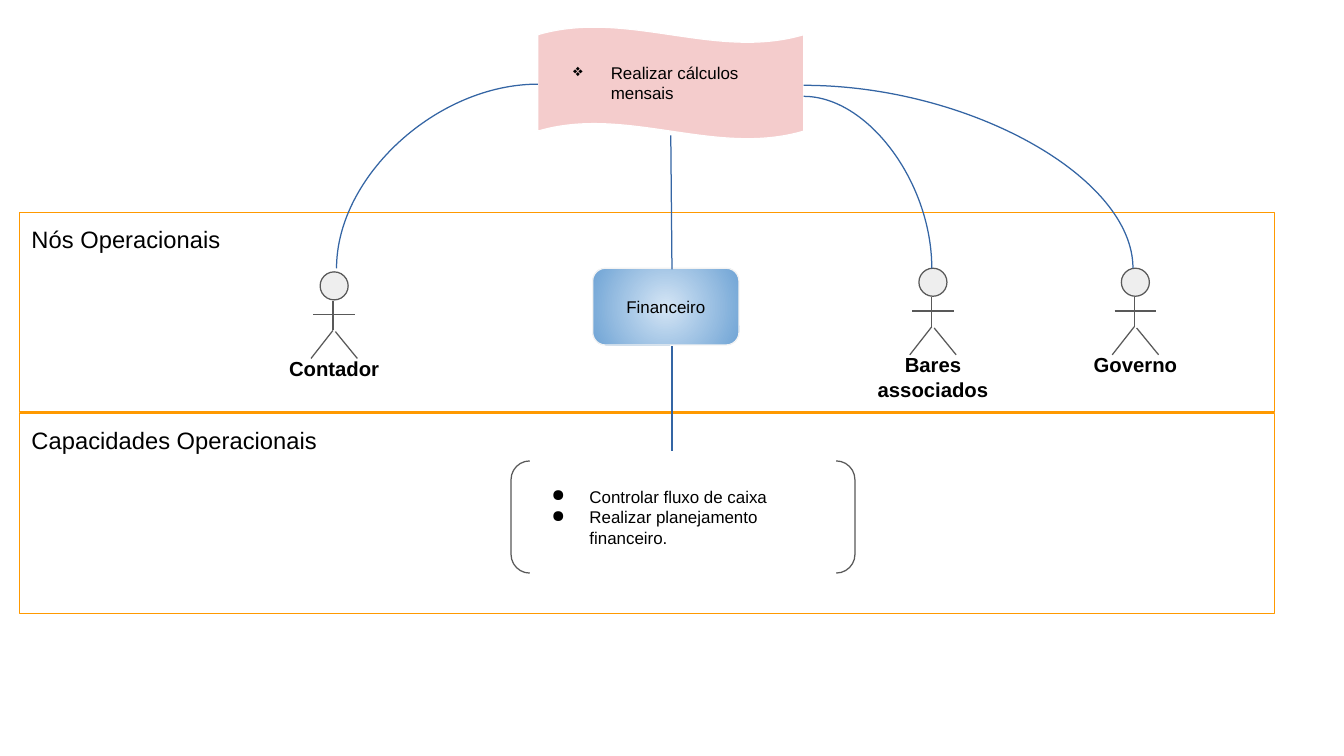
from dataclasses import dataclass
from lxml.etree import SubElement
from pptx import Presentation
from pptx.dml.color import RGBColor
from pptx.enum.shapes import MSO_CONNECTOR as Link, MSO_SHAPE as Form
from pptx.enum.text import MSO_ANCHOR as Anchor, PP_ALIGN as Align
from pptx.oxml.ns import qn
from pptx.util import Inches, Pt

UNIT = Inches(0.1)  # one column or row of the grid
WIDE, HIGH = 110.2, 62


@dataclass(frozen=True)
class Theme:
    """Colours and type sizes of the slide."""
    font: str = "Arial"
    ink: str = "000000"
    frame: str = "FF9900"
    flag: str = "F4CCCC"
    white: str = "FFFFFF"
    head: str = "EEEEEE"
    limb: str = "595959"
    edge: str = "F3F3F3"
    glow: tuple = ("D4E5F5", "70A4D5")
    link: str = "3465A4"
    big: float = 14
    mid: float = 12
    small: float = 10
    thin: float = 0.74


def grid(*cells):
    """Turn grid cells into lengths."""
    return [round(cell * UNIT) for cell in cells]


def apply(item, values):
    """Set attributes of an item from a dict."""
    for name, value in values.items():
        setattr(item, name, value)


class Board:
    """Holds the theme and the current slide."""

    def __init__(self, deck, theme):
        """Add a blank slide to the deck."""
        self.theme = theme
        self.slide = deck.slides.add_slide(deck.slide_layouts[6])
        self.root = self.slide.shapes

    def stroke(self, line, color):
        """Give a line its colour and width."""
        line.color.rgb = RGBColor.from_string(color)
        line.width = Pt(self.theme.thin)

    def label(self, shape, rows, size, anchor=Anchor.TOP,
              align=Align.LEFT, bold=False, mark=None):
        """Fill a shape with paragraphs, bulleted if a mark is given."""
        frame = shape.text_frame
        apply(frame, dict(text="\n".join(rows), word_wrap=True,
                          vertical_anchor=anchor, margin_left=UNIT,
                          margin_right=UNIT, margin_top=UNIT,
                          margin_bottom=UNIT))
        for para in frame.paragraphs:
            para.alignment = align
            for run in para.runs:
                apply(run.font, dict(name=self.theme.font, size=Pt(size), bold=bold))
                run.font.color.rgb = RGBColor.from_string(self.theme.ink)
            if mark:
                self.bullet(para, mark)

    def bullet(self, para, mark):
        """Hang a bullet mark before a paragraph."""
        props = para._p.get_or_add_pPr()
        props.set("marL", str(Inches(0.5)))
        props.set("indent", str(Inches(-0.31)))
        SubElement(props, qn("a:buChar")).set("char", mark)

    def shape(self, form, box, line, fill=None, adjust=()):
        """Draw a preset shape in a grid box."""
        shape = self.root.add_shape(form, *grid(*box))
        shape.shadow.inherit = False
        self.stroke(shape.line, line)
        if fill:
            shape.fill.solid()
            shape.fill.fore_color.rgb = RGBColor.from_string(fill)
        else:
            shape.fill.background()
        for index, value in enumerate(adjust):
            shape.adjustments[index] = value
        return shape

    def glow(self, shape):
        """Fill a shape with a gradient from its centre outwards."""
        shape.fill.gradient()
        stops = shape.fill.gradient_stops
        for stop, color, place in zip(stops, self.theme.glow, (0, 1)):
            stop.color.rgb = RGBColor.from_string(color)
            stop.position = place
        grad = shape._element.spPr.find(qn("a:gradFill"))
        grad.remove(grad.find(qn("a:lin")))
        ring = SubElement(grad, qn("a:path"))
        ring.set("path", "circle")
        focus = SubElement(ring, qn("a:fillToRect"))
        for side in "ltrb":
            focus.set(side, "50000")

    def line(self, start, end, color, curved=False):
        """Join two grid points, curving from level to upright if asked."""
        kind = Link.CURVE if curved else Link.STRAIGHT
        line = self.root.add_connector(kind, *grid(*start, *end))
        self.stroke(line.line, color)
        props = line._element.spPr
        SubElement(props, qn("a:effectLst"))
        if curved:
            props.find(qn("a:prstGeom")).set("prst", "curvedConnector2")

    def actor(self, name, mid, top):
        """Draw a grouped stick figure with its name below."""
        look = self.theme
        self.root = self.slide.shapes.add_group_shape().shapes
        self.shape(Form.FLOWCHART_CONNECTOR, (mid - 1.15, top, 2.3, 2.3),
                   look.limb, look.head)
        limbs = [(-0.1, 2.4, -0.1, 4.8), (-1.7, 3.5, 1.7, 3.5),
                 (-0.1, 4.8, -1.9, 7.1), (0.1, 4.9, 1.9, 7.1)]
        for left, high, right, low in limbs:
            self.line((mid + left, top + high), (mid + right, top + low), look.limb)
        text = self.root.add_textbox(*grid(mid - 6.1, top + 5.9, 12.2, 4.1))
        self.label(text, [name], look.mid, align=Align.CENTER, bold=True)
        self.root = self.slide.shapes

    def band(self, name, top):
        """Draw a wide framed band with its heading."""
        band = self.shape(Form.RECTANGLE, (1.6, top, 102.9, 16.4), self.theme.frame)
        self.label(band, [name], self.theme.big)


def build():
    """Build the slide and save the deck."""
    deck = Presentation()
    width, height = grid(WIDE, HIGH)
    apply(deck, dict(slide_width=width, slide_height=height))
    look = Theme()
    board = Board(deck, look)

    for index, name in enumerate(["Nós Operacionais", "Capacidades Operacionais"]):
        board.band(name, 17.4 + 16.5 * index)

    flag = board.shape(Form.WAVE, (44.1, 2.2, 21.8, 9.2), look.white,
                       look.flag, (0.07, 0))
    board.label(flag, ["Realizar cálculos mensais"], look.small,
                Anchor.MIDDLE, mark="❖")

    skills = board.shape(Form.DOUBLE_BRACKET, (41.9, 37.8, 28.2, 9.2),
                         look.limb, adjust=[0.167])
    board.label(skills, ["Controlar fluxo de caixa",
                         "Realizar planejamento financeiro."],
                look.small, Anchor.MIDDLE, mark="●")

    desk = board.shape(Form.ROUNDED_RECTANGLE, (48.6, 22, 12, 6.3),
                       look.edge, adjust=[0.167])
    board.glow(desk)
    board.label(desk, ["Financeiro"], look.small, Anchor.MIDDLE, Align.CENTER)

    for name, mid, top in [("Contador", 27.4, 22.3),
                           ("Bares associados", 76.5, 22),
                           ("Governo", 93.1, 22)]:
        board.actor(name, mid, top)

    for start, end in [((44.1, 6.9), (27.6, 22)), ((65.9, 7.9), (76.4, 22)),
                       ((65.9, 7), (92.9, 22))]:
        board.line(start, end, look.link, curved=True)
    for start, end in [((55, 11.1), (55.1, 22.1)), ((55.1, 28.4), (55.1, 37))]:
        board.line(start, end, look.link)

    deck.save("out.pptx")


build()
